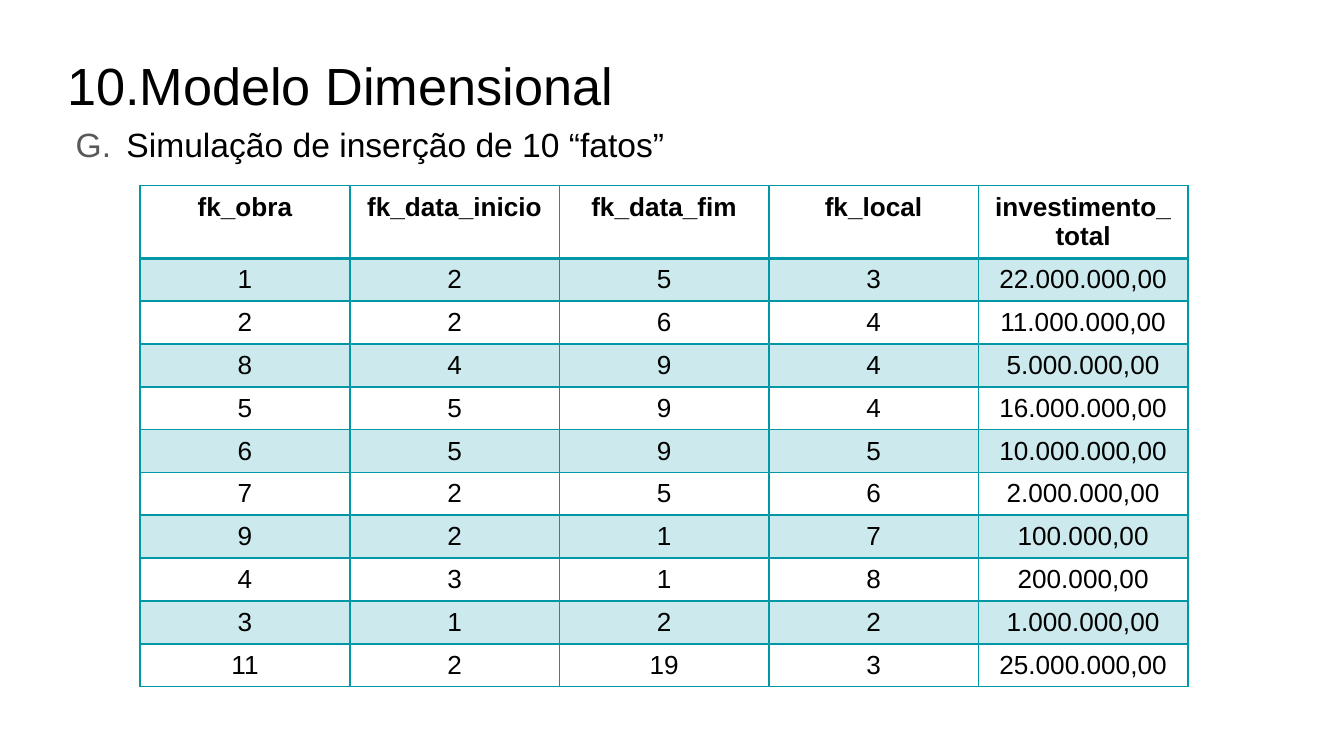
from lxml import etree
from pptx import Presentation
from pptx.dml.color import RGBColor
from pptx.enum.text import MSO_ANCHOR, MSO_AUTO_SIZE, PP_ALIGN
from pptx.oxml.ns import qn
from pptx.util import Cm, Pt

TOP = MSO_ANCHOR.TOP
NO_FIT = MSO_AUTO_SIZE.NONE
LEFT = PP_ALIGN.LEFT
CENTER = PP_ALIGN.CENTER


def color(value):
    return RGBColor.from_string(value)


def write(frame, text, size, bold=False, ink="000000", font="Arial", align=LEFT, spacing=1):
    paragraph = frame.paragraphs[0]
    paragraph.alignment = align
    paragraph.line_spacing = spacing
    paragraph.space_before = Pt(0)
    run = paragraph.add_run()
    run.text = text
    run.font.size = Pt(size)
    run.font.bold = bold
    run.font.name = font
    run.font.color.rgb = color(ink)
    return paragraph


class Deck:
    ink = "000000"
    accent = "0097A7"
    band_alpha = 20

    def __init__(self, width, height):
        self.presentation = Presentation()
        self.presentation.slide_width = Cm(width)
        self.presentation.slide_height = Cm(height)
        self.slide = self.presentation.slides.add_slide(self.presentation.slide_layouts[1])

    def numbered(self, index, text, box, scheme, start, hanging, inset_top,
                 number_ink="000000", **style):
        holder = self.slide.placeholders[index]
        holder.left, holder.top, holder.width, holder.height = map(Cm, box)
        frame = holder.text_frame
        frame.word_wrap = True
        frame.auto_size = NO_FIT
        frame.vertical_anchor = TOP
        frame.margin_left = frame.margin_right = Cm(0.25)
        frame.margin_top = Cm(inset_top)
        frame.margin_bottom = Cm(0.15)
        paragraph = write(frame, text, ink=self.ink, **style)
        properties = paragraph._p.get_or_add_pPr()
        properties.set("marL", str(Cm(1.27)))
        properties.set("indent", str(-Cm(hanging)))
        number_color = etree.SubElement(properties, qn("a:buClr"))
        etree.SubElement(number_color, qn("a:srgbClr"), val=number_ink)
        etree.SubElement(properties, qn("a:buFont"), typeface="Arial")
        etree.SubElement(properties, qn("a:buAutoNum"), type=scheme, startAt=str(start))

    def border(self, cell, bottom):
        properties = cell._tc.get_or_add_tcPr()
        sides = {"lnL": 1, "lnR": 1, "lnT": 1, "lnB": bottom}
        for position, (side, width) in enumerate(sides.items()):
            line = etree.Element(qn(f"a:{side}"), w=str(Pt(width)))
            fill = etree.SubElement(line, qn("a:solidFill"))
            etree.SubElement(fill, qn("a:srgbClr"), val=self.accent)
            properties.insert(position, line)

    def shade(self, cell, banded):
        if not banded:
            cell.fill.background()
            return
        cell.fill.solid()
        cell.fill.fore_color.rgb = color(self.accent)
        tint = cell._tc.tcPr.find(".//" + qn("a:srgbClr"))
        etree.SubElement(tint, qn("a:alpha"), val=str(self.band_alpha * 1000))

    def table(self, rows, left, top, column_width, header_height, row_height):
        columns = len(rows[0])
        height = header_height + row_height * (len(rows) - 1)
        table = self.slide.shapes.add_table(
            len(rows), columns, Cm(left), Cm(top),
            Cm(column_width * columns), Cm(height)).table
        table.horz_banding = False
        for column in table.columns:
            column.width = Cm(column_width)
        for number, values in enumerate(rows):
            header = number == 0
            table.rows[number].height = Cm(header_height if header else row_height)
            for position, value in enumerate(values):
                cell = table.cell(number, position)
                write(cell.text_frame, value, 14, bold=header, ink=self.ink, align=CENTER)
                self.shade(cell, banded=number % 2 == 1)
                self.border(cell, bottom=2 if header else 1)


FACTS = """fk_obra fk_data_inicio fk_data_fim fk_local investimento_total
1 2 5 3 22.000.000,00
2 2 6 4 11.000.000,00
8 4 9 4 5.000.000,00
5 5 9 4 16.000.000,00
6 5 9 5 10.000.000,00
7 2 5 6 2.000.000,00
9 2 1 7 100.000,00
4 3 1 8 200.000,00
3 1 2 2 1.000.000,00
11 2 19 3 25.000.000,00"""

deck = Deck(25.4, 14.29)
deck.numbered(0, "Modelo Dimensional", (0.87, 0.66, 23.67, 1.6), "arabicPeriod", 10,
              hanging=1.12, inset_top=0.35, size=28)
deck.numbered(1, "Simulação de inserção de 10 “fatos”", (0.87, 1.98, 23.67, 9.5),
              "alphaUcPeriod", 7, hanging=0.96, inset_top=0.25, number_ink="595959",
              size=18, spacing=1.15)
deck.table([line.split() for line in FACTS.splitlines()], left=2.65, top=3.51,
           column_width=3.96, header_height=1.37, row_height=0.81)
deck.presentation.save("out.pptx")
